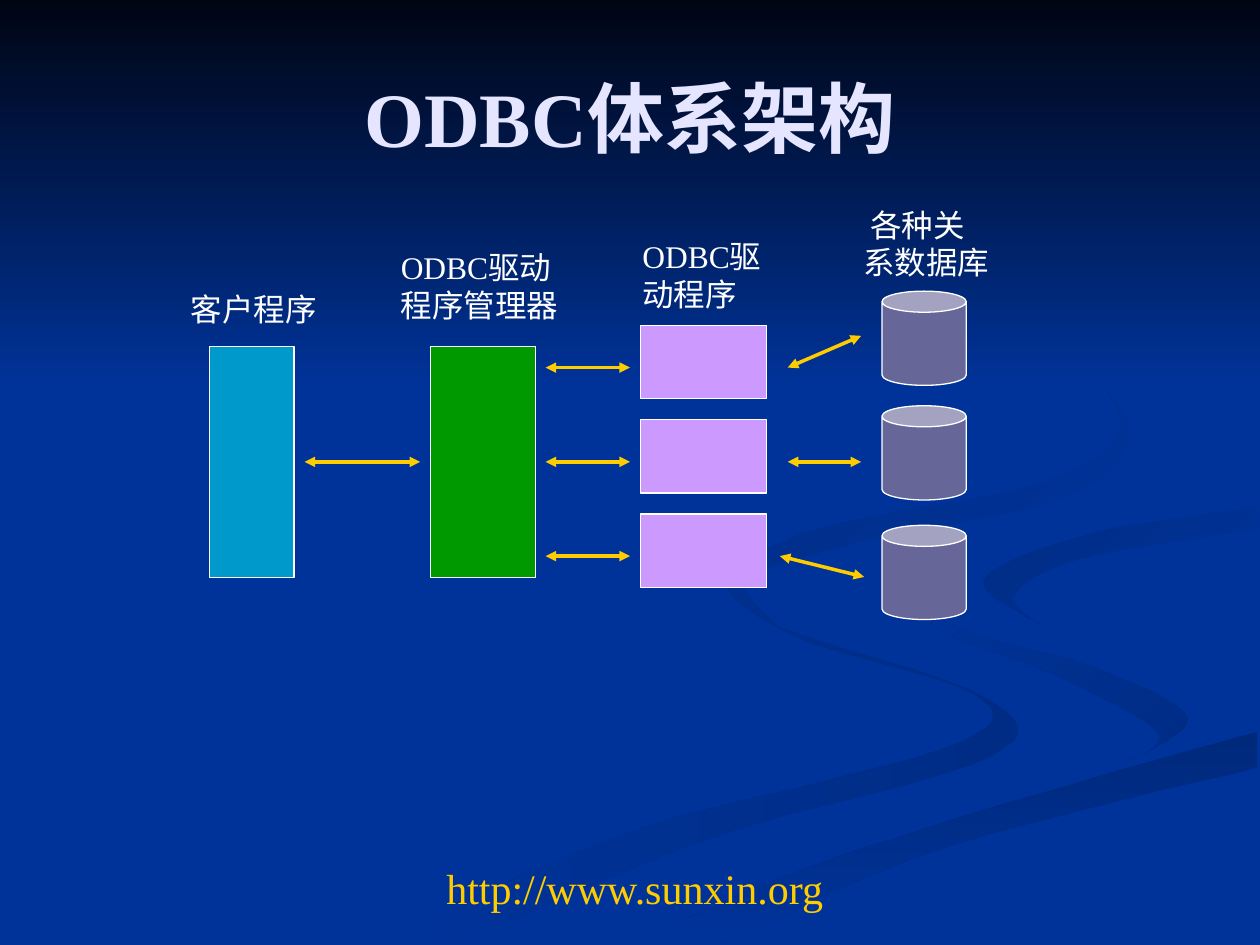
"""Build the ODBC architecture slide."""
from dataclasses import dataclass

from lxml import etree
from pptx import Presentation
from pptx import util as u
from pptx.dml.color import RGBColor
from pptx.enum import shapes, text
from pptx.oxml.ns import qn


@dataclass(frozen=True)
class Theme:
    font: str = "Times New Roman"
    title_size: float = 44
    label_size: float = 18
    link_size: float = 24
    outline: float = 0.75
    arrow_width: float = 2
    background: str = "003399"
    shade: str = "002C85"
    deep_shade: str = "00297C"
    night: str = "000514"
    title: str = "E5E5FF"
    white: str = "FFFFFF"
    gold: str = "FFCC00"
    client: str = "0099CC"
    manager: str = "009900"
    driver: str = "CC99FF"
    database: str = "666699"


@dataclass(frozen=True)
class Ribbon:
    first: str
    last: str
    angle: int
    near_edge: tuple
    far_edge: tuple


@dataclass(frozen=True)
class Node:
    left: float
    top: float
    width: float
    height: float
    color: str
    kind: shapes.MSO_SHAPE = shapes.MSO_SHAPE.RECTANGLE


@dataclass(frozen=True)
class Label:
    words: str
    left: float
    top: float
    width: float
    height: float
    size: float = Theme.label_size
    color: str = Theme.white
    centered: bool = False
    title: bool = False


@dataclass(frozen=True)
class Arrow:
    left: float
    right: float
    start: float
    rise: float = 0


THEME = Theme()
GRID = u.Cm(2.54) / 100
CURVE_STEPS = 8
ROW_STEP = 1.9
ROWS = [7.41 + row * ROW_STEP for row in range(3)]

RIBBONS = (
    Ribbon(THEME.shade, THEME.background, 180,
           ((575, 459), (631, 505), (776, 553), (749, 594), (499, 661), (300, 749)),
           ((361, 749), (564, 665), (786, 601), (781, 553), (614, 496), (575, 459))),
    Ribbon(THEME.shade, THEME.background, 225,
           ((724, 464), (758, 498), (870, 530), (943, 570), (894, 605)),
           ((894, 605), (918, 581), (838, 536), (746, 500), (724, 464))),
    Ribbon(THEME.deep_shade, THEME.background, 90,
           ((503, 749), (630, 693), (797, 638), (998, 581)),
           ((998, 609), (752, 672), (571, 749))),
    Ribbon(THEME.background, THEME.shade, 225,
           ((998, 402), (865, 424), (781, 460), (826, 496)),
           ((826, 496), (805, 472), (859, 443), (998, 420))),
    Ribbon(THEME.background, THEME.shade, 225,
           ((762, 233), (890, 324), (855, 391), (683, 430), (594, 461), (622, 500)),
           ((622, 500), (577, 462), (649, 420), (842, 378), (885, 320), (762, 233))),
    Ribbon(THEME.night, THEME.background, 90, ((0, 0), (0, 308)), ((1000, 308), (1000, 0))),
)

NODES = (
    Node(4.23, 6.98, 1.7, 4.66, THEME.client),
    Node(8.68, 6.98, 2.12, 4.66, THEME.manager),
    *(Node(12.91, row - 0.85, 2.54, 1.48, THEME.driver) for row in ROWS),
    *(Node(17.78, top, 1.7, 1.9, THEME.database, shapes.MSO_SHAPE.CAN)
      for top in (5.87, 8.18, 10.59)),
)

ARROWS = (
    Arrow(6.14, 8.47, ROWS[1]),
    *(Arrow(11, 12.7, row) for row in ROWS),
    Arrow(15.88, 17.36, ROWS[0], -0.64),
    Arrow(15.88, 17.36, ROWS[1]),
    Arrow(15.72, 17.42, ROWS[2], 0.42),
)

LABELS = (
    Label("ODBC体系架构", 1.27, 0.76, 22.86, 3.18, THEME.title_size, THEME.title, True, True),
    Label("客户程序", 3.6, 5.72, 3.39, 1.02),
    Label("ODBC驱动程序管理器", 7.83, 4.87, 4.02, 1.78),
    Label("ODBC驱动程序", 12.7, 4.66, 3.39, 1.78),
    Label(" 各种关系数据库", 17.15, 4.02, 3.18, 1.78),
    Label("http://www.sunxin.org", 4.5, 17.27, 16.59, 1.27, THEME.link_size, THEME.gold, True),
)


def rgb(color: str) -> RGBColor:
    return RGBColor.from_string(color)


def smooth(edge: tuple) -> list:
    """Return a Catmull-Rom curve through the edge points."""
    padded = (edge[0], *edge, edge[-1])
    curve = [edge[0]]
    for a, b, c, d in zip(padded, padded[1:], padded[2:], padded[3:]):
        for step in range(1, CURVE_STEPS + 1):
            t = step / CURVE_STEPS
            curve.append(tuple(
                q + t * (r - p) / 2 + t**2 * (2 * p - 5 * q + 4 * r - s) / 2
                + t**3 * (3 * q - p - 3 * r + s) / 2
                for p, q, r, s in zip(a, b, c, d)))
    return curve


def draw_ribbon(page, ribbon: Ribbon) -> None:
    start, *rest = smooth(ribbon.near_edge) + smooth(ribbon.far_edge)
    builder = page.shapes.build_freeform(*start, scale=GRID)
    builder.add_line_segments(rest, close=True)
    shape = builder.convert_to_shape()
    shape.shadow.inherit = False
    shape.line.fill.background()
    shape.fill.gradient()
    shape.fill.gradient_angle = 360 - ribbon.angle
    for stop, color in zip(shape.fill.gradient_stops, (ribbon.first, ribbon.last)):
        stop.color.rgb = rgb(color)


def draw_node(page, node: Node) -> None:
    shape = page.shapes.add_shape(node.kind, u.Cm(node.left), u.Cm(node.top),
                                  u.Cm(node.width), u.Cm(node.height))
    shape.shadow.inherit = False
    shape.fill.solid()
    shape.fill.fore_color.rgb = rgb(node.color)
    shape.line.color.rgb = rgb(THEME.white)
    shape.line.width = u.Pt(THEME.outline)


def draw_arrow(page, arrow: Arrow) -> None:
    connector = page.shapes.add_connector(
        shapes.MSO_CONNECTOR.STRAIGHT, u.Cm(arrow.left), u.Cm(arrow.start),
        u.Cm(arrow.right), u.Cm(arrow.start + arrow.rise))
    connector.line.color.rgb = rgb(THEME.gold)
    connector.line.width = u.Pt(THEME.arrow_width)
    properties = connector.element.spPr
    outline = properties.find(qn("a:ln"))
    for end in ("a:headEnd", "a:tailEnd"):
        etree.SubElement(outline, qn(end), type="triangle")
    etree.SubElement(properties, qn("a:effectLst"))


def draw_label(page, label: Label) -> None:
    box = page.shapes.add_textbox(u.Cm(label.left), u.Cm(label.top),
                                  u.Cm(label.width), u.Cm(label.height))
    frame = box.text_frame
    frame.word_wrap = True
    if label.title:
        frame.vertical_anchor = text.MSO_ANCHOR.MIDDLE
    else:
        frame.auto_size = text.MSO_AUTO_SIZE.SHAPE_TO_FIT_TEXT
    para = frame.paragraphs[0]
    para.text = label.words
    para.alignment = text.PP_ALIGN.CENTER if label.centered else text.PP_ALIGN.LEFT
    para.font.name = THEME.font
    para.font.size = u.Pt(label.size)
    para.font.bold = label.title
    para.font.color.rgb = rgb(label.color)


def main() -> None:
    deck = Presentation()
    deck.slide_width, deck.slide_height = u.Cm(25.4), u.Cm(19.05)
    page = deck.slides.add_slide(deck.slide_layouts[6])
    page.background.fill.solid()
    page.background.fill.fore_color.rgb = rgb(THEME.background)
    for draw, items in ((draw_ribbon, RIBBONS), (draw_node, NODES),
                        (draw_arrow, ARROWS), (draw_label, LABELS)):
        for item in items:
            draw(page, item)
    deck.save("out.pptx")


if __name__ == "__main__":
    main()
